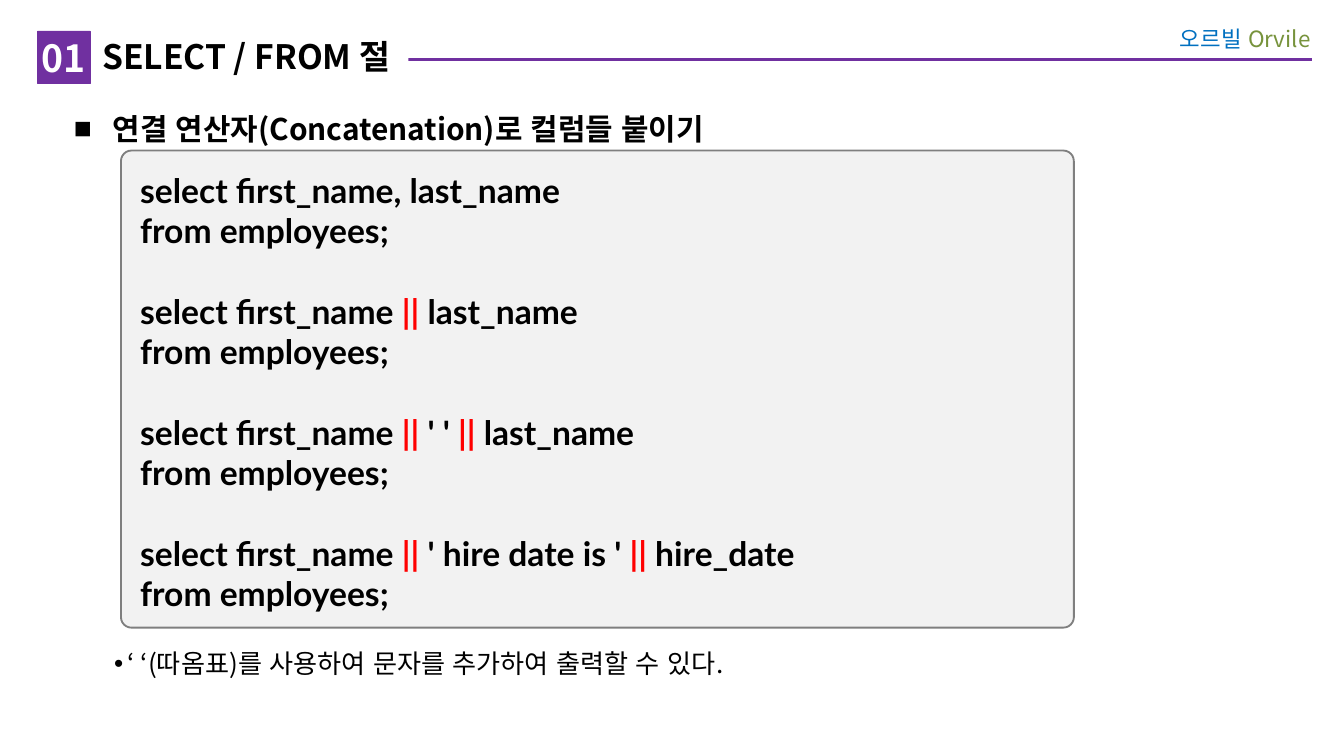
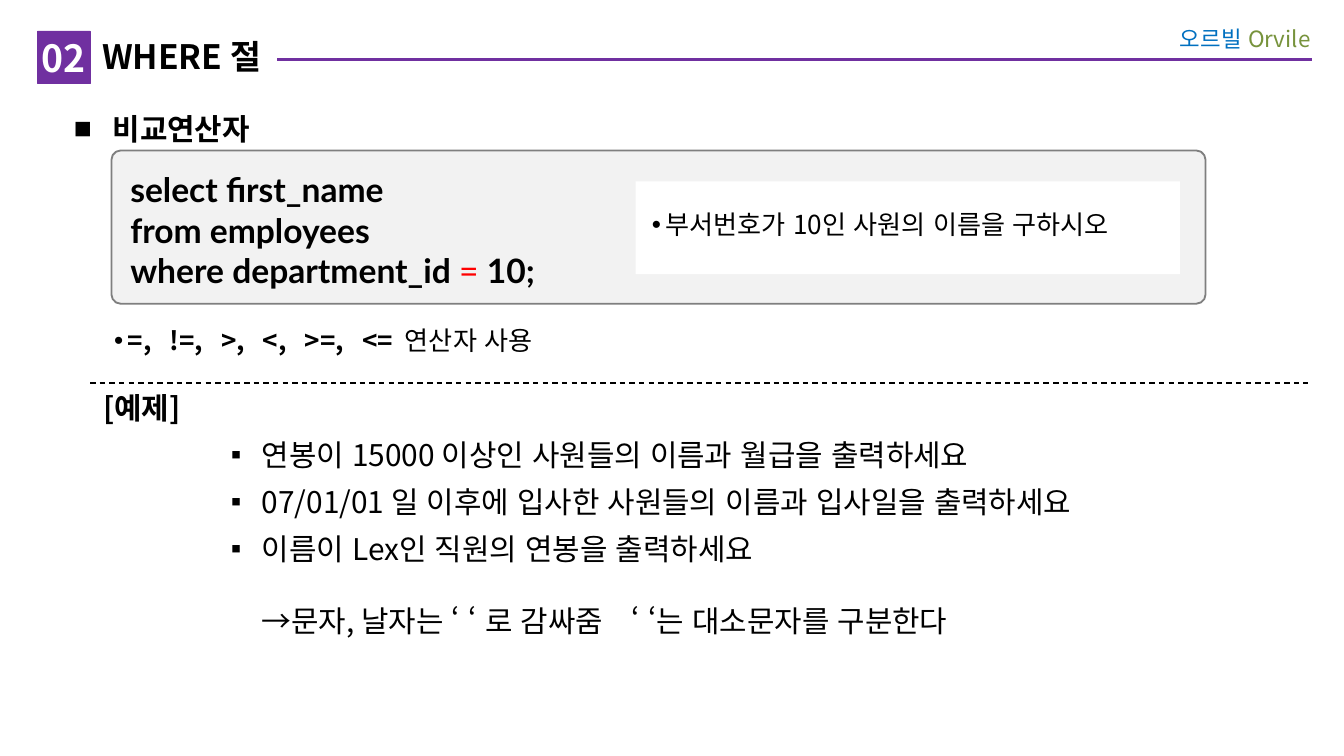
import lxml.etree
import pptx
import pptx.dml.color
import pptx.enum.dml
import pptx.enum.shapes
import pptx.enum.text
import pptx.oxml.ns
import pptx.util

PX = 9144  # 100 px to the inch
SANS, CODE = "Noto Sans CJK KR", "Lato"
HUES = {"purple": "7030A0", "blue": "0070C0", "green": "77933C",
        "black": "000000", "white": "FFFFFF", "red": "FF0000",
        "pale": "F2F2F2", "gray": "7F7F7F"}
ALIGN = pptx.enum.text.PP_ALIGN
KINDS = pptx.enum.shapes.MSO_SHAPE


def hue(name):
    return pptx.dml.color.RGBColor.from_string(HUES[name])


def child(node, tag, **attrs):
    return lxml.etree.SubElement(node, pptx.oxml.ns.qn(tag), **attrs)


class Deck:
    def __init__(self):
        self.prs = pptx.Presentation()
        self.prs.slide_width = 1000 * PX
        self.prs.slide_height = 1000 * PX * 9 // 16
        self.slide = None

    def run(self, para, text, size=16, color="black", bold=False, font=SANS, gap=0):
        """Add one run; gap is extra space in points after each letter."""
        run = para.add_run()
        run.text = text
        run.font.size = pptx.util.Pt(size)
        run.font.bold = bold
        run.font.color.rgb = hue(color)
        run.font.name = font
        props = run.font._element
        props.set("lang", "ko-KR")
        child(props, "a:ea", typeface=SANS)
        if gap:
            props.set("spc", str(round(gap * 100)))

    def para(self, box, runs, bullet=None, left=0, hang=0, before=0, lines=None,
             align=ALIGN.LEFT, **style):
        """Add a paragraph; each run is a text or a (text, style) pair."""
        frame = box.text_frame
        para = frame.paragraphs[0]
        if para.runs:
            para = frame.add_paragraph()
        props = para._p.get_or_add_pPr()
        props.set("marL", str(left * PX))
        props.set("indent", str(-hang * PX))
        if bullet:
            child(child(props, "a:buClr"), "a:srgbClr", val=HUES["black"])
            child(props, "a:buFont", typeface="Arial")
            child(props, "a:buChar", char=bullet)
        else:
            child(props, "a:buNone")
        para.alignment = align
        if before:
            para.space_before = pptx.util.Pt(before)
        if lines:
            para.line_spacing = lines
        for item in runs:
            text, extra = (item, {}) if isinstance(item, str) else item
            self.run(para, text, **{**style, **extra})

    def frame(self, shape, pads, middle=False):
        frame = shape.text_frame
        frame.word_wrap = True
        (frame.margin_left, frame.margin_top,
         frame.margin_right, frame.margin_bottom) = [pad * PX for pad in pads]
        anchor = pptx.enum.text.MSO_ANCHOR
        frame.vertical_anchor = anchor.MIDDLE if middle else anchor.TOP
        return shape

    def text(self, x, y, w, h, pads=(12, 0, 10, 5)):
        box = self.slide.shapes.add_textbox(x * PX, y * PX, w * PX, h * PX)
        return self.frame(box, pads)

    def shape(self, x, y, w, h, fill, line=None, width=1, pads=(12, 0, 10, 5),
              middle=True, kind=KINDS.RECTANGLE):
        box = self.slide.shapes.add_shape(kind, x * PX, y * PX, w * PX, h * PX)
        box.shadow.inherit = False
        box.fill.solid()
        box.fill.fore_color.rgb = hue(fill)
        if line:
            box.line.color.rgb = hue(line)
            box.line.width = pptx.util.Pt(width)
        else:
            box.line.fill.background()
        return self.frame(box, pads, middle)

    def rule(self, start, end, y, color, width, dash=False):
        line = self.slide.shapes.add_connector(
            pptx.enum.shapes.MSO_CONNECTOR.STRAIGHT,
            start * PX, y * PX, end * PX, y * PX)
        line.line.color.rgb = hue(color)
        line.line.width = pptx.util.Pt(width)
        if dash:
            line.line.dash_style = pptx.enum.dml.MSO_LINE.DASH
        child(line._element.spPr, "a:effectLst")

    def page(self, number, title, width, height, topic):
        """Start a slide with its header, number badge and topic line."""
        self.slide = self.prs.slides.add_slide(self.prs.slide_layouts[6])
        self.rule(976, 71, 44, "purple", 1.5)
        label = self.text(831, 11, 154, 36, (10, 8, 10, 8))
        self.para(label, [("오르빌 ", {"color": "blue"}), "Orvile"],
                  size=12, color="green", align=ALIGN.RIGHT)
        head = self.shape(68, 23, width, height, "white", pads=(8, 4, 0, 4), middle=False)
        self.para(head, [title], size=18, bold=True)
        self.para(self.text(43, 69, 804, 47), [topic], bullet="■",
                  left=29, hang=29, lines=1.5, bold=True)
        badge = self.shape(28, 23, 39, 39, "purple", "purple", 0.25, (0, 0, 0, 0))
        self.para(badge, [number], size=20, color="white", bold=True, align=ALIGN.CENTER)

    def code(self, x, w, h, round_, blocks, heavy=True):
        """Draw a code panel; operators stand between backticks."""
        box = self.shape(x, 112, w, h, "pale", "gray", pads=(12,) * 4,
                         middle=False, kind=KINDS.ROUNDED_RECTANGLE)
        box.adjustments[0] = round_
        mark = {"color": "red", "bold": heavy}
        for b, block in enumerate(blocks):
            for n, line in enumerate(block):
                runs = [(part, mark if i % 2 else {})
                        for i, part in enumerate(line.split("`"))]
                self.para(box, runs, before=21.6 if b and not n else 0,
                          size=18, bold=True, font=CODE)

    def note(self, box, runs, left=40, lines=None):
        self.para(box, runs, bullet="•", left=left, hang=10, lines=lines, size=14)


def join(deck):
    deck.page("01", "SELECT / FROM 절", 236, 69, "연결 연산자(Concatenation)로 컬럼들 붙이기")
    picks = ["first_name, last_name",
             "first_name `||` last_name",
             "first_name `||` ' ' `||` last_name",
             "first_name `||` ' hire date is ' `||` hire_date"]
    deck.code(90, 709, 355, 0.022,
              [("select " + pick, "from employees;") for pick in picks])
    deck.note(deck.text(43, 482, 929, 67),
              ["‘ ‘(따옴표)를 사용하여 문자를 추가하여 출력할 수 있다."])


def where(deck):
    deck.page("02", "WHERE 절", 138, 38, "비교연산자")
    deck.code(83, 814, 114, 0.06,
              [("select first_name", "from employees", "where department_id `=` 10;")],
              heavy=False)
    signs = []
    for sign in ["=,", "!=,", ">,", "<,", ">=,", "<="]:
        signs += [(sign, {"bold": True}),
                  (" ", {"bold": True, "gap": 3.2 if sign == "<=" else 6.4})]
    deck.note(deck.text(43, 230, 929, 49), signs + ["연산자 사용"], lines=1.5)

    deck.rule(67, 973, 285, "black", 0.75, dash=True)
    tasks = deck.text(67, 285, 906, 195, (10, 5, 10, 5))
    deck.para(tasks, ["[예제]"], bold=True)
    for task in ["연봉이 15000 이상인 사원들의 이름과 월급을 출력하세요",
                 "07/01/01 일 이후에 입사한 사원들의 이름과 입사일을 출력하세요",
                 "이름이 Lex인 직원의 연봉을 출력하세요"]:
        deck.para(tasks, [task], bullet="▪", left=118, hang=23, before=6)
    deck.para(tasks, [("→", {"font": "Arial"}), "문자, 날자는 ‘ ‘ 로 감싸줌",
                      (" ", {"gap": 10.8}), "‘ ‘는 대소문자를 구분한다"],
              left=118, before=19.2)
    deck.note(deck.shape(473, 135, 405, 69, "white"),
              ["부서번호가 10인 사원의 이름을 구하시오"], left=10)


def main():
    deck = Deck()
    join(deck)
    where(deck)
    deck.prs.save("out.pptx")


if __name__ == "__main__":
    main()
